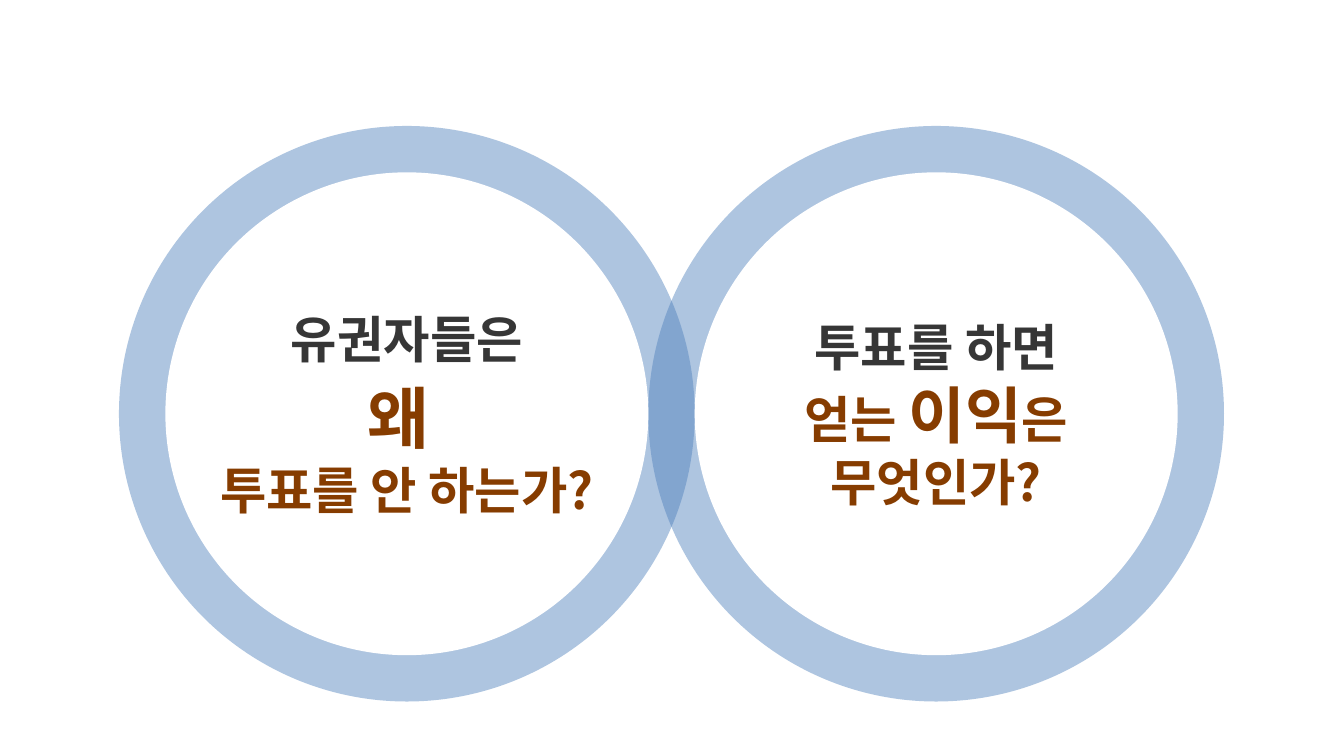
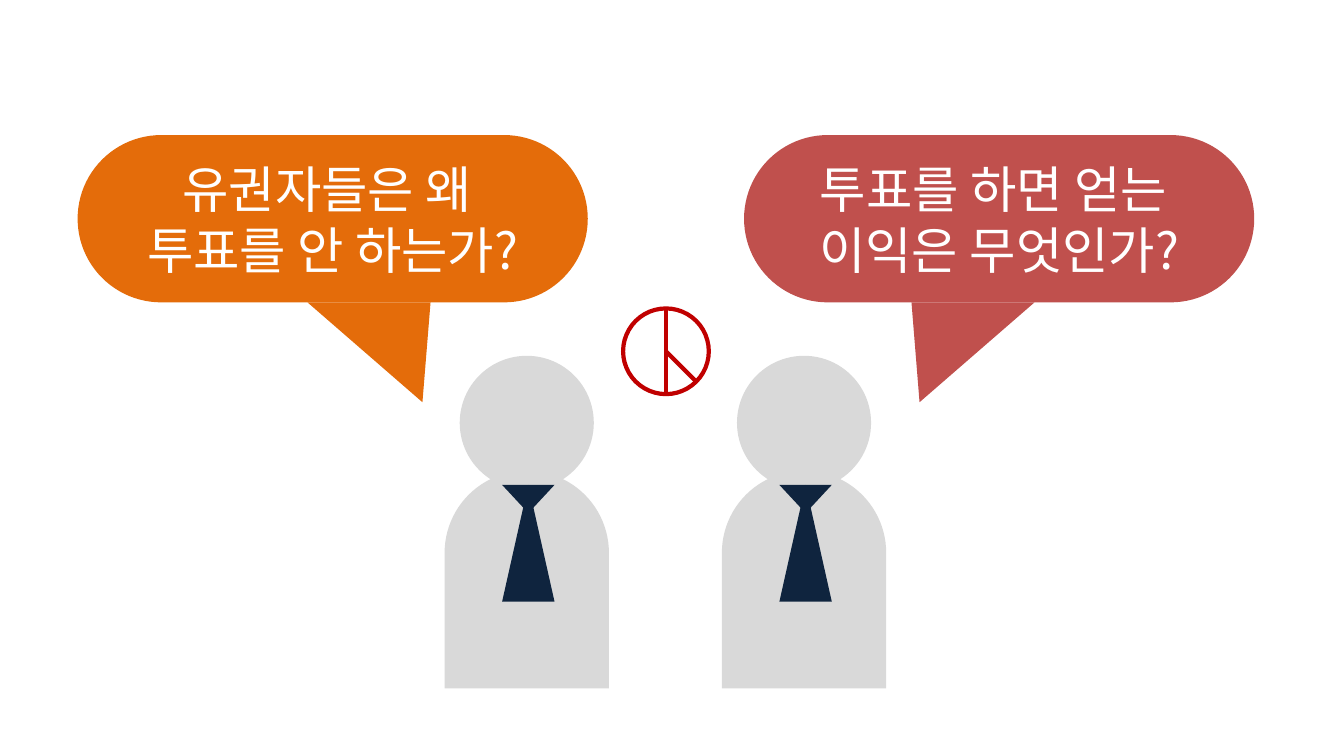
from lxml import etree
from pptx import Presentation
from pptx.dml.color import RGBColor
from pptx.enum.shapes import MSO_CONNECTOR, MSO_SHAPE
from pptx.enum.text import MSO_ANCHOR, PP_ALIGN
from pptx.oxml.ns import qn
from pptx.util import Inches, Pt

OVAL = MSO_SHAPE.OVAL
PILL = MSO_SHAPE.ROUNDED_RECTANGLE
SHOULDERS = MSO_SHAPE.ROUND_2_SAME_RECTANGLE
TRIANGLE = MSO_SHAPE.ISOSCELES_TRIANGLE
STRAIGHT = MSO_CONNECTOR.STRAIGHT
MIDDLE = MSO_ANCHOR.MIDDLE
CENTER = PP_ALIGN.CENTER

FONT = "Noto Sans CJK KR"
WHITE = "FFFFFF"
RING = "4F81BD"
DARK = "363636"
BROWN = "863C00"
ORANGE = "E46C0A"
RED = "C0504D"
GREY = "D9D9D9"
NAVY = "0F243E"
STAMP_RED = "C00000"
BLANK_LAYOUT = 6


def rgb(value):
    return RGBColor.from_string(value)


def paint(shape, fill, line=None, weight=3, opacity=None):
    """Give a shape a flat fill, an optional outline and no shadow."""
    shape.shadow.inherit = False
    shape.fill.solid()
    shape.fill.fore_color.rgb = rgb(fill)
    if opacity is not None:
        color = shape.fill._xPr.find(qn("a:solidFill"))[0]
        etree.SubElement(color, qn("a:alpha"), val=str(opacity * 1000))
    if line:
        shape.line.color.rgb = rgb(line)
        shape.line.width = Pt(weight)
    else:
        shape.line.fill.background()
    return shape


def add_part(slide, kind, left, top, width, height, fill, **style):
    shape = slide.shapes.add_shape(
        kind, Inches(left), Inches(top), Inches(width), Inches(height))
    return paint(shape, fill, **style)


def add_stroke(slide, x1, y1, x2, y2, color, weight=3):
    stroke = slide.shapes.add_connector(
        STRAIGHT, Inches(x1), Inches(y1), Inches(x2), Inches(y2))
    stroke.line.color.rgb = rgb(color)
    stroke.line.width = Pt(weight)
    etree.SubElement(stroke.line._get_or_add_ln().getparent(), qn("a:effectLst"))


def add_run(paragraph, text, size=36, color=WHITE, bold=False):
    run = paragraph.add_run()
    run.text = text
    font = run.font
    font.size, font.bold, font.name = Pt(size), bold, FONT
    font.color.rgb = rgb(color)
    latin = font._element.find(qn("a:latin"))
    latin.addnext(latin.makeelement(qn("a:ea"), {"typeface": FONT}))


def write(shape, lines, wrap=True, **style):
    """Write centred lines; each line is a list of (text, overrides)."""
    frame = shape.text_frame
    frame.word_wrap = wrap
    frame.vertical_anchor = MIDDLE
    for index, line in enumerate(lines):
        paragraph = frame.add_paragraph() if index else frame.paragraphs[0]
        paragraph.alignment = CENTER
        for text, overrides in line:
            add_run(paragraph, text, **{**style, **overrides})


def add_question_circles(slide, left, top, questions):
    """Two translucent rings that overlap by the width of the band."""
    outer, band = 5.71, 0.46
    lefts = [left + i * (outer - band) for i in range(len(questions))]
    for ring_left in reversed(lefts):
        add_part(slide, OVAL, ring_left, top, outer, outer, RING, opacity=46)
    inner = outer - 2 * band
    for ring_left, lines in zip(lefts, questions):
        disc = add_part(slide, OVAL, ring_left + band, top + band,
                        inner, inner, WHITE)
        write(disc, lines, wrap=False, color=BROWN, bold=True)


def add_bubble(slide, left, top, tail_left, direction, fill, lines):
    """Speech bubble; direction 1 leans the tail right, -1 left."""
    width, height = 5.06, 1.66
    bottom = top + height
    tail = slide.shapes.build_freeform(Inches(tail_left), Inches(bottom))
    tail.add_line_segments([
        (Inches(tail_left + direction * 1.14), Inches(bottom + 0.99)),
        (Inches(tail_left + direction * 1.22), Inches(bottom))])
    paint(tail.convert_to_shape(), fill)
    pill = add_part(slide, PILL, left, top, width, height, fill)
    pill.adjustments[0] = 0.5
    write(pill, [[(line, {})] for line in lines])


def add_voter(slide, left, top):
    """Grey figure with a tie."""
    add_part(slide, OVAL, left + 0.15, top, 1.33, 1.33, GREY)
    body = add_part(slide, SHOULDERS, left, top + 1.14, 1.63, 2.16, GREY)
    body.adjustments[0] = 0.5
    body.adjustments[1] = 0
    tie_left, tie_top = left + 0.57, top + 1.28
    add_part(slide, TRIANGLE, tie_left, tie_top, 0.52, 1.16, NAVY)
    knot = add_part(slide, TRIANGLE, tie_left, tie_top, 0.52, 0.28, NAVY)
    knot.rotation = 180


def add_ballot_stamp(slide, left, top, size):
    """Voting mark: a circle, its vertical diameter and a short branch."""
    add_part(slide, OVAL, left, top, size, size, WHITE, line=STAMP_RED)
    middle_x, middle_y = left + size / 2, top + size / 2
    reach = size / 2 * 0.71
    add_stroke(slide, middle_x, top, middle_x, top + size, STAMP_RED)
    add_stroke(slide, middle_x + reach, middle_y + reach,
               middle_x, middle_y, STAMP_RED)


def build_questions_slide(slide):
    add_question_circles(slide, 1.18, 1.25, [
        [[("유권자들은", {"color": DARK})],
         [("왜", {"size": 48}), (" ", {"size": 54})],
         [("투표를 안 하는가?", {})]],
        [[("투표를 하면", {"color": DARK})],
         [("얻는 ", {}), ("이익", {"size": 44}), ("은", {})],
         [("무엇인가?", {})]],
    ])


def build_dialogue_slide(slide):
    add_bubble(slide, 0.77, 1.34, 3.05, 1, ORANGE,
               ["유권자들은 왜 ", "투표를 안 하는가?"])
    add_bubble(slide, 7.38, 1.34, 10.26, -1, RED,
               ["투표를 하면 얻는 ", "이익은 무엇인가?"])
    for voter_left in (4.41, 7.16):
        add_voter(slide, voter_left, 3.53)
    add_ballot_stamp(slide, 6.18, 3.06, 0.85)


def main():
    deck = Presentation()
    deck.slide_width, deck.slide_height = Inches(13.33), Inches(7.5)
    for build in (build_questions_slide, build_dialogue_slide):
        build(deck.slides.add_slide(deck.slide_layouts[BLANK_LAYOUT]))
    deck.save("out.pptx")


if __name__ == "__main__":
    main()
